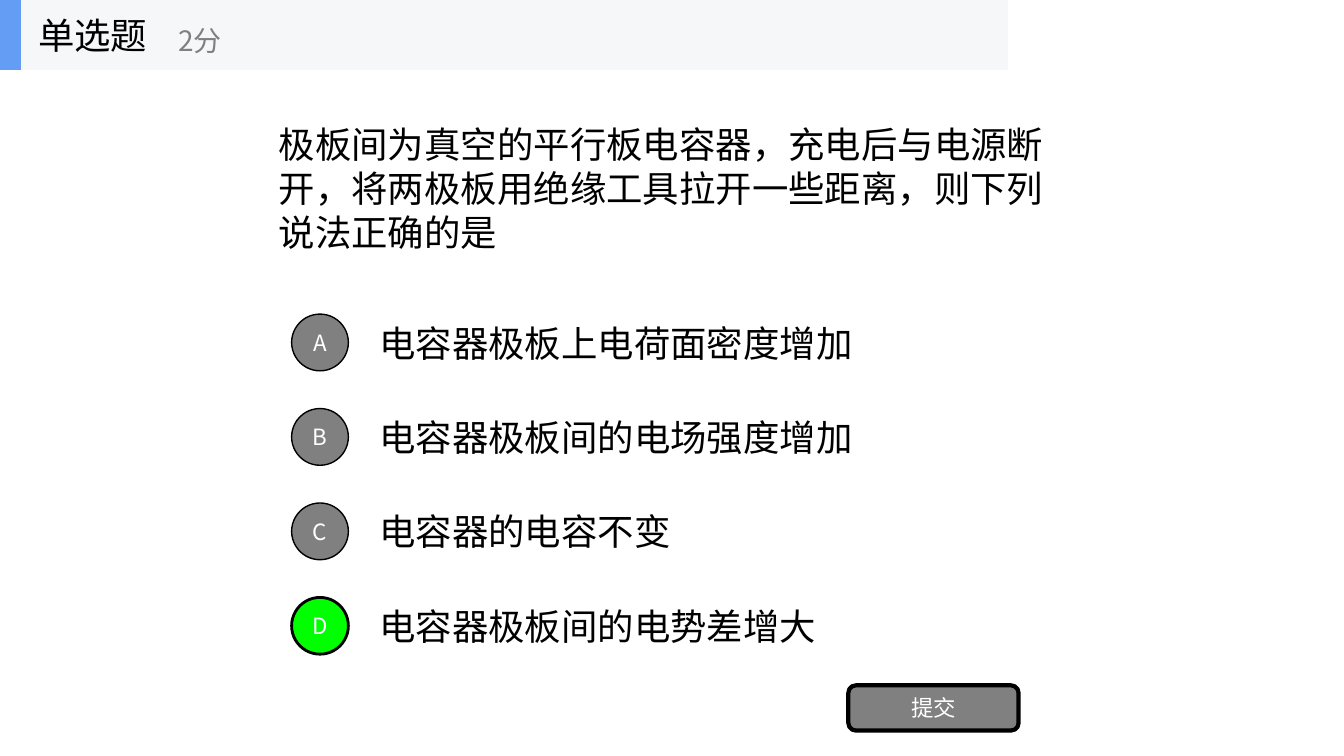
from dataclasses import dataclass

from pptx import Presentation
from pptx import util as u
from pptx.dml.color import RGBColor
from pptx.enum import shapes, text
from pptx.oxml.ns import qn

# Content
KIND, POINTS = "单选题", "2分"
QUESTION = "极板间为真空的平行板电容器，充电后与电源断开，将两极板用绝缘工具拉开一些距离，则下列说法正确的是"
OPTIONS = [
    ("A", "电容器极板上电荷面密度增加"),
    ("B", "电容器极板间的电场强度增加"),
    ("C", "电容器的电容不变"),
    ("D", "电容器极板间的电势差增大"),
]
ANSWER = "D"
SUBMIT = "提交"


@dataclass(frozen=True)
class Theme:
    font: str = "Noto Sans CJK SC"
    ink: str = "000000"
    grey: str = "808080"
    white: str = "FFFFFF"
    correct: str = "00FF00"
    band: str = "F6F7F8"
    accent: str = "639EF4"
    body: int = 26
    points: int = 20
    button: int = 16


THEME = Theme()
SHAPE = shapes.MSO_SHAPE
ALIGN = text.PP_ALIGN


def write(box, words, size, color, align=ALIGN.LEFT, wrap=True):
    frame = box.text_frame
    frame.word_wrap = wrap
    frame.auto_size = text.MSO_AUTO_SIZE.NONE
    frame.vertical_anchor = text.MSO_ANCHOR.MIDDLE
    para = frame.paragraphs[0]
    para.alignment = align
    span = para.add_run()
    span.text = words
    span.font.size = u.Pt(size)
    span.font.name = THEME.font
    span.font.color.rgb = RGBColor.from_string(color)
    east_asian = span.font._element.makeelement(qn("a:ea"), {"typeface": THEME.font})
    span.font._element.find(qn("a:latin")).addnext(east_asian)


def place(cm):
    return [u.Cm(length) for length in cm]


def add_text(parent, cm, words, size, color, wrap=True):
    box = parent.add_textbox(*place(cm))
    write(box, words, size, color, wrap=wrap)


def add_block(parent, kind, cm, fill, line=None):
    block = parent.add_shape(kind, *place(cm))
    block.shadow.inherit = False
    block.fill.solid()
    block.fill.fore_color.rgb = RGBColor.from_string(fill)
    if line:
        block.line.color.rgb = RGBColor.from_string(THEME.ink)
        block.line.width = u.Pt(line)
    else:
        block.line.fill.background()
    return block


def add_button(parent, kind, cm, label, fill, line):
    button = add_block(parent, kind, cm, fill, line)
    write(button, label, THEME.button, THEME.white, ALIGN.CENTER)


deck = Presentation()
deck.slide_width, deck.slide_height = u.Cm(33.87), u.Cm(19.05)
page = deck.slides.add_slide(deck.slide_layouts[5])

# Question
title = page.shapes.title
title.left, title.top, title.width, title.height = place((6.77, 1.76, 20.32, 5.95))
write(title, QUESTION, THEME.body, THEME.ink)

# Options: a lettered circle centred on each line of text
FIRST_TOP, PITCH, ROW_HEIGHT, CIRCLE = 7.74, 2.38, 1.78, 1.43
for row, (letter, words) in enumerate(OPTIONS):
    top = FIRST_TOP + row * PITCH
    right = letter == ANSWER
    add_text(page.shapes, (9.31, top, 17.78, ROW_HEIGHT), words, THEME.body, THEME.ink)
    circle_top = top + (ROW_HEIGHT - CIRCLE) / 2
    add_button(page.shapes, SHAPE.OVAL, (7.35, circle_top, CIRCLE, CIRCLE), letter,
               THEME.correct if right else THEME.grey, 2 if right else 1)

# Submit button
add_button(page.shapes, SHAPE.ROUNDED_RECTANGLE, (21.38, 17.27, 4.29, 1.14),
           SUBMIT, THEME.grey, 3)

# Header band
HEADER = 1.76
header = page.shapes.add_group_shape().shapes
add_block(header, SHAPE.RECTANGLE, (0, 0, 25.4, HEADER), THEME.band)
add_block(header, SHAPE.RECTANGLE, (0, 0, 0.53, HEADER), THEME.accent)
add_text(header, (0.71, 0, 5.28, HEADER), KIND, THEME.body, THEME.ink, wrap=False)
add_text(header, (4.24, 0.31, 6.35, 1.42), POINTS, THEME.points, THEME.grey, wrap=False)

deck.save("out.pptx")
